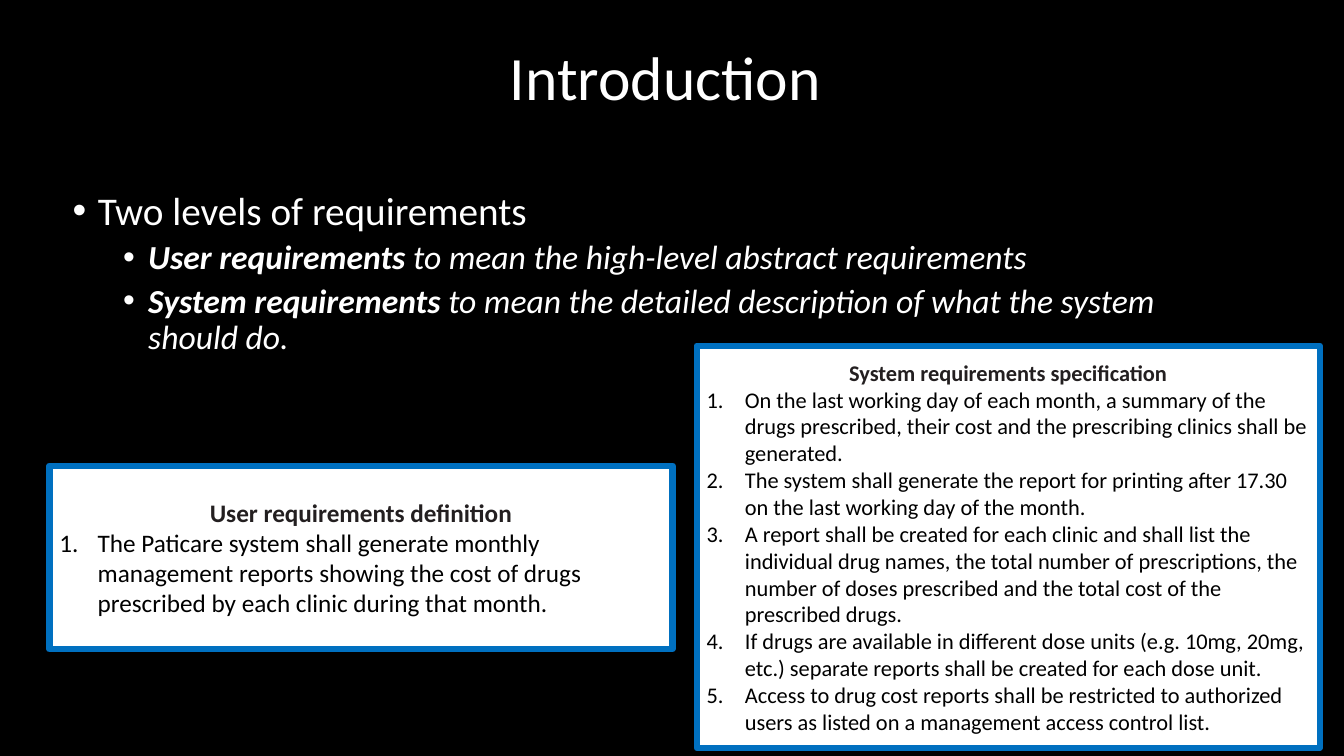
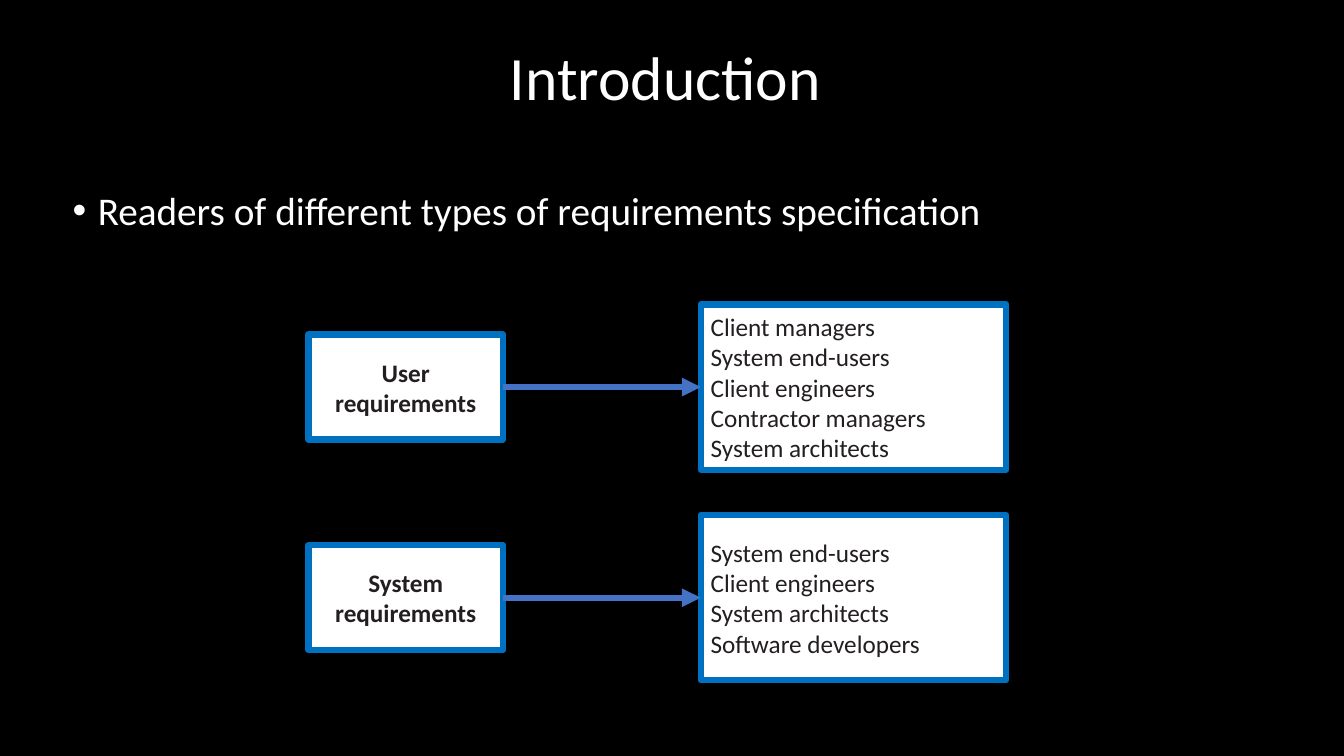
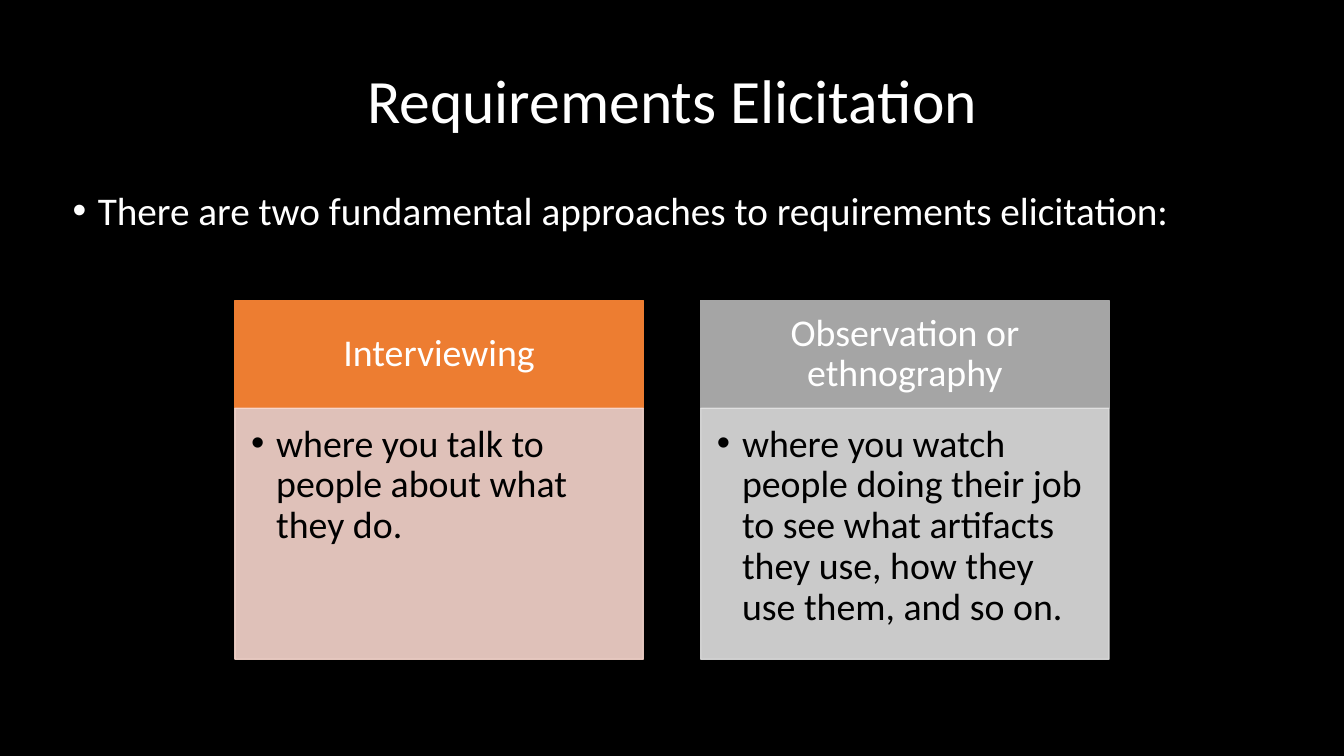
"""Build three slides on user and system requirements."""
from lxml import etree
from pptx import Presentation
from pptx.dml.color import RGBColor
from pptx.enum import shapes, text
from pptx.oxml.ns import qn
from pptx.util import Inches, Pt

COLORS = {
    "background": "000000", "white": "FFFFFF", "black": "000000",
    "ink": "231F20", "frame": "0070C0", "arrow": "4472C4",
    "orange": "ED7D31", "orange_tint": "F8D7CE",
    "gray": "A5A5A5", "gray_tint": "E1E1E1",
}
COLORS = {name: RGBColor.from_string(value) for name, value in COLORS.items()}
FONT = "Calibri"


def add_bullet(paragraph, indent, hanging, numbered=False):
    """Give a paragraph a hanging indent with a dot or a number."""
    properties = paragraph._p.get_or_add_pPr()
    properties.set("marL", str(Inches(indent)))
    properties.set("indent", str(-Inches(hanging)))
    if numbered:
        etree.SubElement(properties, qn("a:buFont"), typeface="+mj-lt")
        etree.SubElement(properties, qn("a:buAutoNum"), type="arabicPeriod")
    else:
        etree.SubElement(properties, qn("a:buFont"), typeface="Arial")
        etree.SubElement(properties, qn("a:buChar"), char="•")


def add_box(slide, place, lines, size, fill="white", line="frame", weight=4.5,
            color="ink", bold=False, alignment=text.PP_ALIGN.LEFT):
    """Add a filled, outlined rectangle with one paragraph per line."""
    shape = slide.shapes.add_shape(
        shapes.MSO_SHAPE.RECTANGLE, *[Inches(value) for value in place])
    shape.shadow.inherit = False
    shape.fill.solid()
    shape.fill.fore_color.rgb = COLORS[fill]
    shape.line.color.rgb = COLORS[line]
    shape.line.width = Pt(weight)
    shape.text_frame.word_wrap = True
    shape.text_frame.text = "\n".join(lines)
    for paragraph in shape.text_frame.paragraphs:
        paragraph.alignment = alignment
        font = paragraph.runs[0].font
        font.name, font.size, font.bold = FONT, Pt(size), bold
        font.color.rgb = COLORS[color]
    return shape


presentation = Presentation()
presentation.slide_width = Inches(13.33)
presentation.slide_height = Inches(7.5)
background = presentation.slide_master.background.fill
background.solid()
background.fore_color.rgb = COLORS["background"]

OUTLINES = [
    ("Introduction ", 0.07, [
        (0, "", "Two levels of requirements"),
        (1, "User requirements ", "to mean the high-level abstract requirements"),
        (1, "System requirements ",
         "to mean the detailed description of what the system should do."),
    ]),
    ("Introduction ", 0.07, [
        (0, "", "Readers of different types of requirements specification"),
    ]),
    ("Requirements Elicitation", 0.3, [
        (0, "", "There are two fundamental approaches to requirements elicitation:"),
    ]),
]
slides = []
for heading, title_top, items in OUTLINES:
    slide = presentation.slides.add_slide(presentation.slide_layouts[1])
    slides.append(slide)
    title, body = slide.placeholders
    title.left, title.top = Inches(0.92), Inches(title_top)
    title.width, title.height = Inches(11.5), Inches(1.45)
    title.text_frame.text = heading
    title.text_frame.auto_size = text.MSO_AUTO_SIZE.NONE
    title.text_frame.vertical_anchor = text.MSO_ANCHOR.MIDDLE
    paragraph = title.text_frame.paragraphs[0]
    paragraph.alignment = text.PP_ALIGN.CENTER
    paragraph.line_spacing = 0.9
    font = paragraph.runs[0].font
    font.name, font.size = FONT, Pt(44)
    font.color.rgb = COLORS["white"]

    body.left, body.top = Inches(0.62), Inches(1.85)
    body.width, body.height = Inches(11.8), Inches(4.91)
    body.text_frame.text = "\n".join(rest for level, lead, rest in items)
    body.text_frame.auto_size = text.MSO_AUTO_SIZE.NONE
    for paragraph, (level, lead, rest) in zip(body.text_frame.paragraphs, items):
        paragraph.level = level
        paragraph.line_spacing = 0.9
        paragraph.space_before = Pt(5 if level else 10)
        add_bullet(paragraph, 0.25 + 0.5 * level, 0.25)
        if lead:
            paragraph.runs[0].text = lead
            paragraph.runs[0].font.bold = True
            paragraph.add_run().text = rest
        for run in paragraph.runs:
            run.font.name, run.font.size = FONT, Pt(24 if level else 28)
            run.font.italic = level == 1
            run.font.color.rgb = COLORS["white"]

levels_slide, readers_slide, elicitation_slide = slides

DEFINITIONS = [
    ((0.49, 4.62, 6.18, 1.82), 18, [
        "User requirements definition",
        "The Paticare system shall generate monthly management reports showing "
        "the cost of drugs prescribed by each clinic during that month.",
    ]),
    ((6.91, 3.43, 6.18, 3.99), 16, [
        "System requirements specification",
        "On the last working day of each month, a summary of the drugs "
        "prescribed, their cost and the prescribing clinics shall be generated.",
        "The system shall generate the report for printing after 17.30 on the "
        "last working day of the month.",
        "A report shall be created for each clinic and shall list the individual "
        "drug names, the total number of prescriptions, the number of doses "
        "prescribed and the total cost of the prescribed drugs.",
        "If drugs are available in different dose units (e.g. 10mg, 20mg, etc.) "
        "separate reports shall be created for each dose unit.",
        "Access to drug cost reports shall be restricted to authorized users as "
        "listed on a management access control list.",
    ]),
]
for place, size, lines in DEFINITIONS:
    box = add_box(levels_slide, place, lines, size, color="black")
    caption, *requirements = box.text_frame.paragraphs
    caption.alignment = text.PP_ALIGN.CENTER
    caption.runs[0].font.bold = True
    caption.runs[0].font.color.rgb = COLORS["ink"]
    for paragraph in requirements:
        add_bullet(paragraph, 0.38, 0.38, numbered=True)

READERS = [
    ("User", ["Client managers", "System end-users", "Client engineers",
              "Contractor managers", "System architects"]),
    ("System", ["System end-users", "Client engineers", "System architects",
                "Software developers"]),
]
for row, (kind, readers) in enumerate(READERS):
    middle = 3.84 + 2.09 * row
    add_box(readers_slide, (3.06, middle - 0.52, 1.93, 1.04),
            [kind, "requirements"], 18, bold=True,
            alignment=text.PP_ALIGN.CENTER)
    add_box(readers_slide, (6.95, middle - 0.82, 3.03, 1.64), readers, 18)
    arrow = readers_slide.shapes.add_connector(
        shapes.MSO_CONNECTOR.STRAIGHT,
        Inches(4.99), Inches(middle), Inches(6.95), Inches(middle))
    arrow.line.color.rgb = COLORS["arrow"]
    arrow.line.width = Pt(4.5)
    etree.SubElement(arrow.line._get_or_add_ln(), qn("a:tailEnd"), type="triangle")
    etree.SubElement(arrow._element.spPr, qn("a:effectLst"))

APPROACHES = [
    ("Interviewing", "orange", "where you talk to people about what they do."),
    ("Observation or ethnography", "gray",
     "where you watch people doing their job to see what artifacts they use, "
     "how they use them, and so on."),
]
for column, (name, hue, description) in enumerate(APPROACHES):
    left = 2.33 + 4.62 * column
    tint = hue + "_tint"
    header = add_box(elicitation_slide, (left, 2.98, 4.05, 1.07), [name], 27,
                     hue, hue, 1, "white", alignment=text.PP_ALIGN.CENTER)
    panel = add_box(elicitation_slide, (left, 4.05, 4.05, 2.49), [description],
                    27, tint, tint, 1, "black")
    panel.text_frame.vertical_anchor = text.MSO_ANCHOR.TOP
    for color in panel._element.spPr.iter(qn("a:srgbClr")):
        etree.SubElement(color, qn("a:alpha"), val="90000")
    for shape, insets in ((header, (0.21, 0.12, 0.21, 0.12)),
                          (panel, (0.16, 0.16, 0.21, 0.24))):
        frame = shape.text_frame
        (frame.margin_left, frame.margin_top, frame.margin_right,
         frame.margin_bottom) = [Inches(inset) for inset in insets]
        frame.paragraphs[0].line_spacing = 0.9
    add_bullet(panel.text_frame.paragraphs[0], 0.25, 0.25)

presentation.save("out.pptx")
